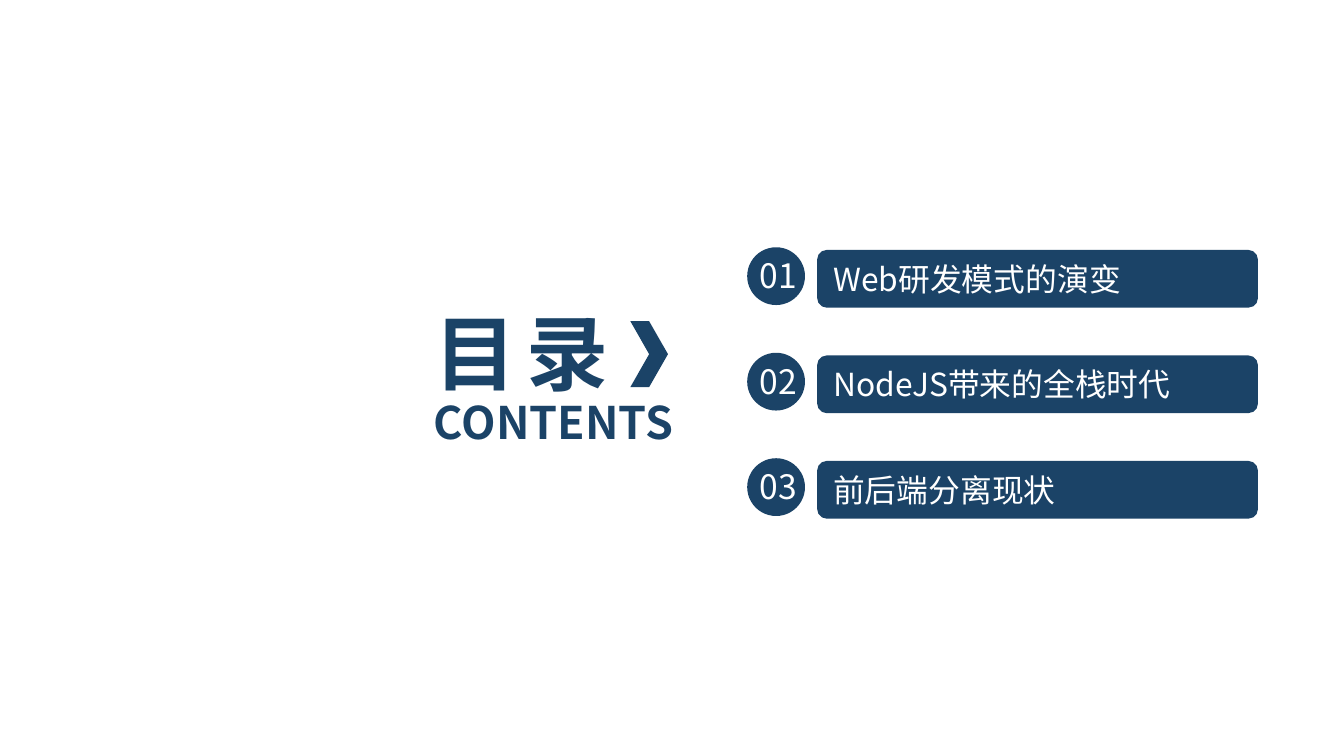
from lxml.etree import SubElement
from pptx import Presentation
from pptx.dml.color import RGBColor
from pptx.enum.shapes import MSO_SHAPE as Shape
from pptx.enum.text import MSO_ANCHOR as Anchor, MSO_AUTO_SIZE as AutoSize, PP_ALIGN as Align
from pptx.oxml.ns import qn
from pptx.util import Inches, Pt

FONT = "Noto Sans CJK SC"
NAVY = "1B4367"
WHITE = "FFFFFF"
PAGE_WIDTH = 10
PAGE_HEIGHT = PAGE_WIDTH * 9 / 16
TOPICS = ["Web研发模式的演变", "NodeJS带来的全栈时代", "前后端分离现状"]
FIRST_TOP, LAST_TOP = 1.86, 3.43


def color(value):
    """Turn a hex string into a colour."""
    return RGBColor.from_string(value)


def place(item, left, top, width, height):
    """Move and size an item, in inches."""
    frame = {"left": left, "top": top, "width": width, "height": height}
    for name, value in frame.items():
        setattr(item, name, Inches(value))


def write(box, text, size, ink, bold=False, align=Align.LEFT, spacing=None):
    """Write one formatted, vertically centred line into a box."""
    frame = box.text_frame
    layout = {"word_wrap": True, "auto_size": AutoSize.NONE, "vertical_anchor": Anchor.MIDDLE}
    for name, value in layout.items():
        setattr(frame, name, value)
    para = frame.paragraphs[0]
    para.alignment = align
    span = para.add_run()
    span.text = text
    for name, value in {"name": FONT, "size": Pt(size), "bold": bold}.items():
        setattr(span.font, name, value)
    span.font.color.rgb = color(ink)
    properties = span._r.get_or_add_rPr()
    SubElement(properties, qn("a:ea")).set("typeface", FONT)
    if spacing is not None:
        properties.set("spc", str(round(spacing * 100)))


def add_solid(shapes, kind, *area):
    """Add a navy preset shape without outline or shadow."""
    solid = shapes.add_shape(kind, *map(Inches, area))
    solid.shadow.inherit = False
    solid.fill.solid()
    solid.fill.fore_color.rgb = color(NAVY)
    solid.line.fill.background()
    return solid


def add_label(shapes, text, area, *style, **options):
    """Add a text box with one line of text."""
    write(shapes.add_textbox(*map(Inches, area)), text, *style, **options)


def add_topic(page, number, text, top):
    """Add a numbered badge and the topic bar beside it."""
    bar = add_solid(page.shapes, Shape.ROUNDED_RECTANGLE, 6.08, top, 3.28, 0.43)
    write(bar, text, 17, WHITE)
    badge = page.shapes.add_group_shape().shapes
    add_solid(badge, Shape.OVAL, 5.56, top - 0.02, 0.43, 0.43)
    add_label(badge, f"{number:02}", (5.53, top - 0.01, 0.52, 0.4), 18, WHITE, align=Align.CENTER)


def main():
    """Build the contents slide."""
    deck = Presentation()
    deck.slide_width, deck.slide_height = Inches(PAGE_WIDTH), Inches(PAGE_HEIGHT)
    page = deck.slides.add_slide(deck.slide_layouts[5])
    page.background.fill.solid()
    page.background.fill.fore_color.rgb = color(WHITE)

    title = page.shapes.title
    place(title, 3.13, 2.2, 2.35, 0.84)
    write(title, "目 录", 44, NAVY, bold=True, spacing=-2.2)
    add_label(page.shapes, "CONTENTS", (3.13, 2.89, 2.31, 0.5), 24, NAVY, bold=True)
    add_solid(page.shapes, Shape.CHEVRON, 4.69, 2.39, 0.28, 0.49)

    pitch = (LAST_TOP - FIRST_TOP) / (len(TOPICS) - 1)
    for index, topic in enumerate(TOPICS):
        add_topic(page, index + 1, topic, FIRST_TOP + index * pitch)
    deck.save("out.pptx")


if __name__ == "__main__":
    main()
